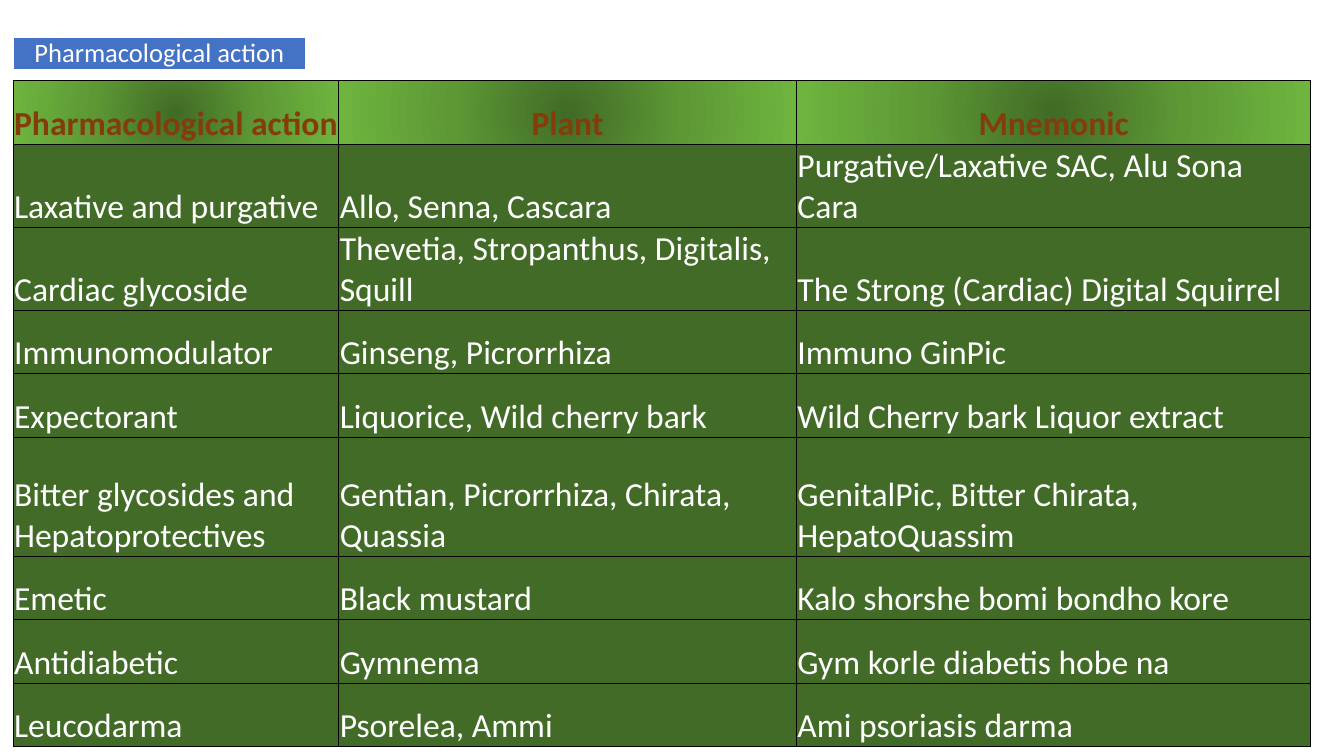
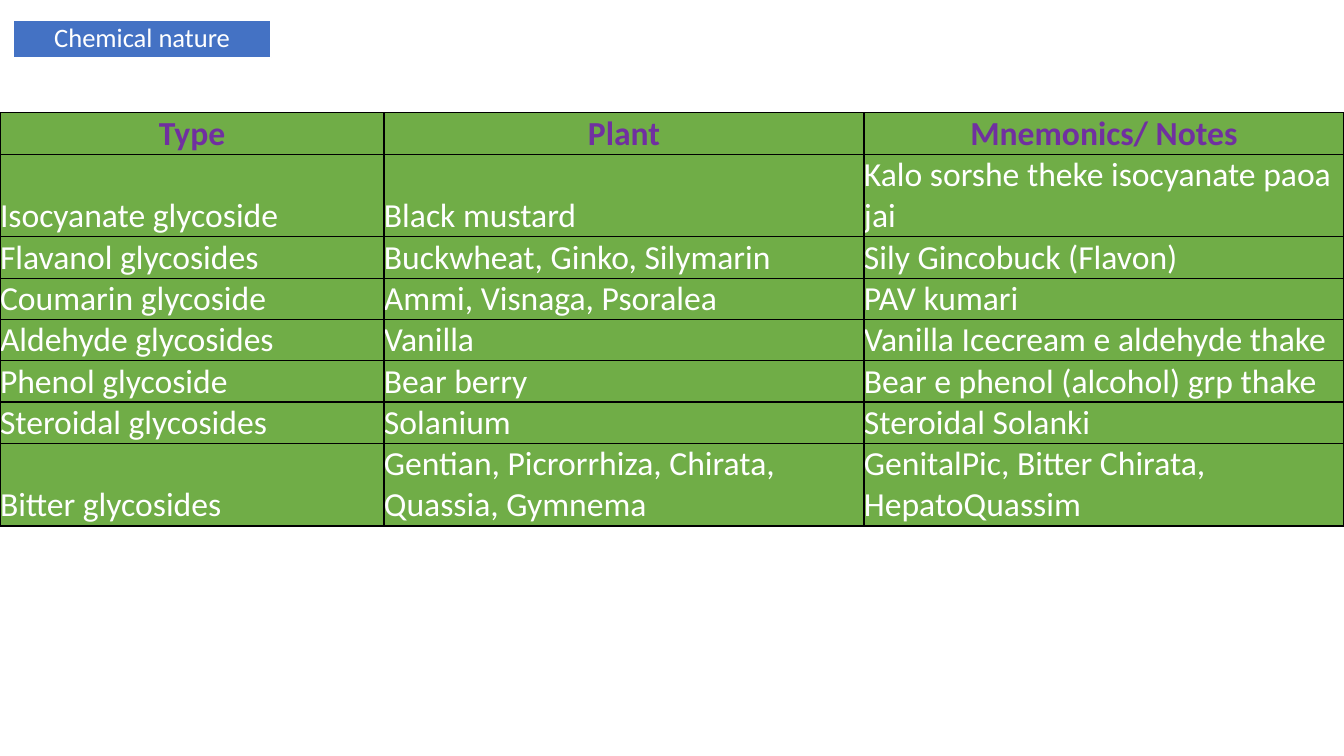
from lxml import etree
from pptx import Presentation
from pptx.dml.color import RGBColor
from pptx.enum.text import MSO_ANCHOR, MSO_AUTO_SIZE, PP_ALIGN
from pptx.oxml import parse_xml
from pptx.oxml.ns import nsdecls
from pptx.util import Inches, Pt

CENTER, LEFT = PP_ALIGN.CENTER, PP_ALIGN.LEFT
MIDDLE, BOTTOM = MSO_ANCHOR.MIDDLE, MSO_ANCHOR.BOTTOM
NO_FIT = MSO_AUTO_SIZE.NONE

FONT = "Calibri"
WHITE, BLACK, BLUE = "FFFFFF", "000000", "4472C4"
DARK_GREEN, GREEN = "416B26", "70AD47"
BROWN, PURPLE = "843C0B", "7030A0"
RADIAL = [(0, "416B26"), (50, "5D9835"), (100, "6EB53F")]

W, H = 13.33, 7.5
LINE = 0.41  # height of one line of table text

ACTIONS = [
    ("Laxative and purgative", "Allo, Senna, Cascara", "Purgative/Laxative SAC, Alu Sona Cara"),
    ("Cardiac glycoside", "Thevetia, Stropanthus, Digitalis, Squill",
     "The Strong (Cardiac) Digital Squirrel"),
    ("Immunomodulator", "Ginseng, Picrorrhiza", "Immuno GinPic"),
    ("Expectorant", "Liquorice, Wild cherry bark", "Wild Cherry bark Liquor extract"),
    ("Bitter glycosides and Hepatoprotectives", "Gentian, Picrorrhiza, Chirata, Quassia",
     "GenitalPic, Bitter Chirata, HepatoQuassim"),
    ("Emetic", "Black mustard", "Kalo shorshe bomi bondho kore"),
    ("Antidiabetic", "Gymnema", "Gym korle diabetis hobe na"),
    ("Leucodarma", "Psorelea, Ammi", "Ami psoriasis darma"),
]
TYPES = [
    ("Isocyanate glycoside", "Black mustard", "Kalo sorshe theke isocyanate paoa jai"),
    ("Flavanol glycosides", "Buckwheat, Ginko, Silymarin", "Sily Gincobuck (Flavon)"),
    ("Coumarin glycoside", "Ammi, Visnaga, Psoralea", "PAV kumari"),
    ("Aldehyde glycosides", "Vanilla", "Vanilla Icecream e aldehyde thake"),
    ("Phenol glycoside", "Bear berry", "Bear e phenol (alcohol) grp thake"),
    ("Steroidal glycosides", "Solanium", "Steroidal Solanki"),
    ("Bitter glycosides", "Gentian, Picrorrhiza, Chirata, Quassia, Gymnema",
     "GenitalPic, Bitter Chirata, HepatoQuassim"),
]

BODY = {"size": Pt(24), "name": FONT, "bold": False}
HEAD = BODY | {"bold": True}
LABEL = {"size": Pt(19), "name": FONT, "bold": False}

# Each table: left, top, width, column weights, row heights, rows, header colour, fill, inset
SLIDES = [
    {"title": "Pharmacological action", "box": (0.13, 0.37, 2.9, 0.32), "tables": [
        (0.13, 0.8, 12.87, (3.23, 4.54, 5.1),
         [0.63] + [2 * LINE] * 2 + [0.63] * 2 + [1.18] + [0.63] * 3,
         [("Pharmacological action", "Plant", "Mnemonic")] + ACTIONS,
         BROWN, DARK_GREEN, 0.01)]},
    {"title": "Chemical nature", "box": (0.13, 0.2, 2.56, 0.37), "tables": [
        (0, 1.12 + LINE, W, (4, 5, 5), [2 * LINE] + [LINE] * 5 + [2 * LINE],
         TYPES, None, GREEN, 0),
        (0, 1.12, W, (4, 5, 5), [LINE],
         [("Type", "Plant", "Mnemonics/ Notes")], PURPLE, GREEN, 0)]},
]


def rgb(value):
    return RGBColor.from_string(value)


def add_cell_xml(cell, with_gradient):
    """Give the cell black borders and, if asked, a radial gradient."""
    tcPr = cell._tc.get_or_add_tcPr()
    for side in ("lnL", "lnR", "lnT", "lnB"):
        tcPr.append(parse_xml(
            f'<a:{side} {nsdecls("a")} w="12700"><a:solidFill><a:srgbClr val="{BLACK}"/>'
            f'</a:solidFill></a:{side}>'))
    if with_gradient:
        grad = parse_xml(f'<a:gradFill {nsdecls("a")}><a:gsLst/><a:path path="circle">'
                         '<a:fillToRect l="50000" t="50000" r="50000" b="50000"/>'
                         '</a:path></a:gradFill>')
        ns = "{%s}" % grad.nsmap["a"]
        for pos, color in RADIAL:
            gs = etree.SubElement(grad[0], ns + "gs", pos=str(pos * 1000))
            etree.SubElement(gs, ns + "srgbClr", val=color)
        tcPr.append(grad)


prs = Presentation()
prs.slide_width, prs.slide_height = Inches(W), Inches(H)
title_only = prs.slide_layouts[5]

for data in SLIDES:
    s = prs.slides.add_slide(title_only)

    sp = s.shapes.title
    sp.left, sp.top, sp.width, sp.height = map(Inches, data["box"])
    sp.fill.solid()
    sp.fill.fore_color.rgb = rgb(BLUE)
    sp.line.color.rgb = rgb(WHITE)
    sp.line.width = Pt(1)
    tf = sp.text_frame
    tf.text = data["title"]
    tf.auto_size, tf.word_wrap, tf.vertical_anchor = NO_FIT, True, MIDDLE
    for side in ("left", "right", "top", "bottom"):
        setattr(tf, f"margin_{side}", Inches(0.01))
    p = tf.paragraphs[0]
    p.alignment, p.line_spacing = CENTER, 0.9
    r = p.runs[0]
    for key, value in LABEL.items():
        setattr(r.font, key, value)
    r.font.color.rgb = rgb(WHITE)

    for left, top, width, weights, heights, rows, head_color, fill, inset in data["tables"]:
        table = s.shapes.add_table(len(rows), len(weights), Inches(left), Inches(top),
                                   Inches(width), Inches(sum(heights))).table
        table.first_row = table.horz_banding = False
        for column, weight in zip(table.columns, weights):
            column.width = Inches(width * weight / sum(weights))
        for i, (row, height, texts) in enumerate(zip(table.rows, heights, rows)):
            row.height = Inches(height)
            is_head = i == 0 and head_color is not None
            has_gradient = is_head and fill == DARK_GREEN
            for cell, text in zip(row.cells, texts):
                cell.text = text
                cell.vertical_anchor = BOTTOM
                cell.margin_left = cell.margin_right = cell.margin_top = Inches(inset)
                cell.margin_bottom = 0
                add_cell_xml(cell, has_gradient)
                if not has_gradient:
                    cell.fill.solid()
                    cell.fill.fore_color.rgb = rgb(fill)
                p = cell.text_frame.paragraphs[0]
                p.alignment = CENTER if is_head else LEFT
                r = p.runs[0]
                for key, value in (HEAD if is_head else BODY).items():
                    setattr(r.font, key, value)
                r.font.color.rgb = rgb(head_color if is_head else WHITE)

prs.save("out.pptx")
